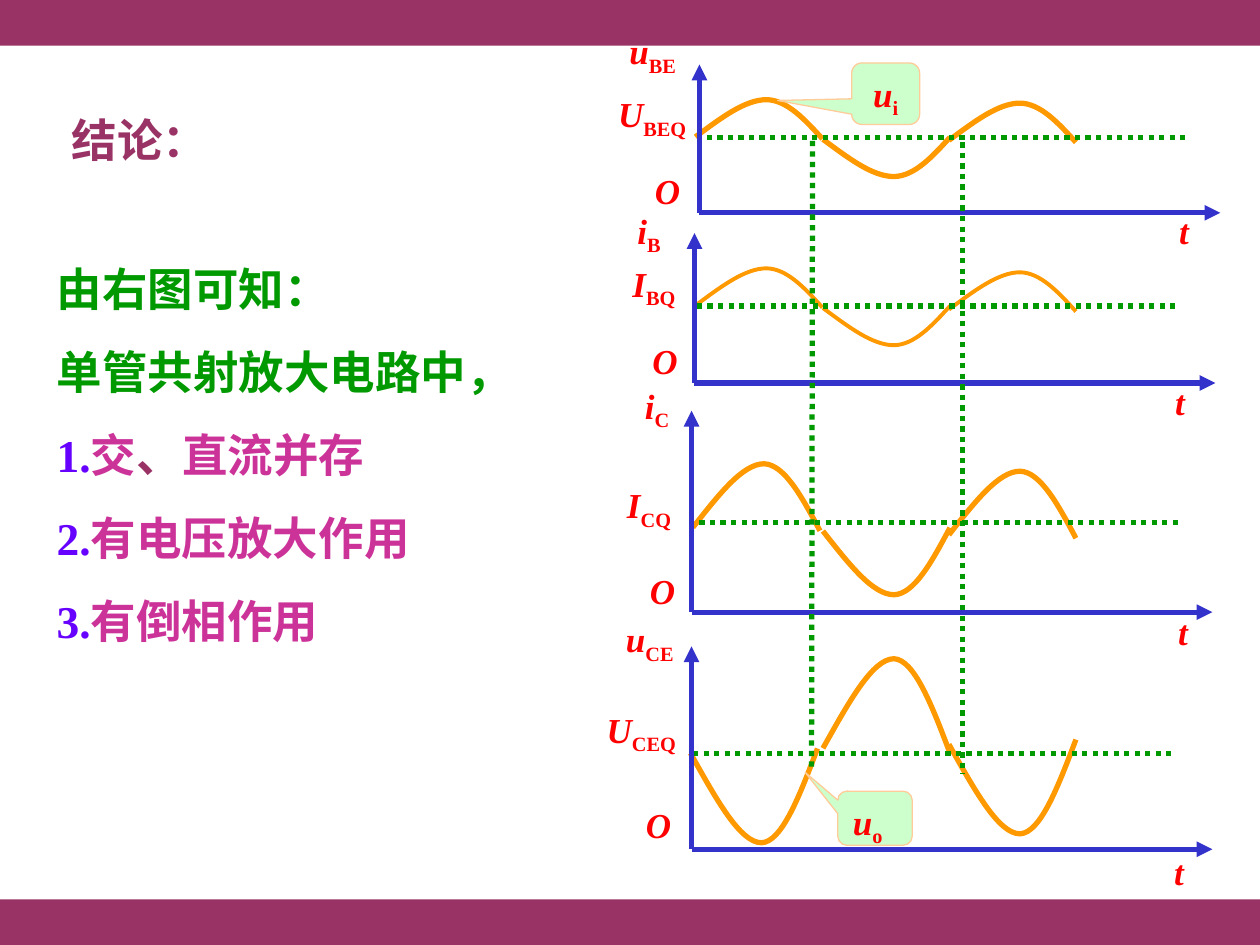
import copy
import dataclasses

import pptx
import pptx.dml.color
import pptx.enum.dml
import pptx.enum.shapes
import pptx.enum.text
import pptx.oxml
import pptx.oxml.ns
import pptx.util

Cm = pptx.util.Cm
Pt = pptx.util.Pt


@dataclasses.dataclass(frozen=True)
class Theme:
    font: str = "Times New Roman"
    band: str = "993366"
    heading: str = "009900"
    number: str = "6600FF"
    item: str = "CC3399"
    label: str = "FF0000"
    wave: str = "FF9900"
    axis: str = "3333CC"
    callout: str = "CCFFCC"
    callout_line: str = "FFCC99"
    text_size: float = 26
    label_size: float = 20
    paragraph_gap: float = 16.2
    line_width: float = 3


# Half wave as fractions of its width and height: start, then two Bezier segments
HALF_WAVE = [(0, 0.95), (0.2, 0.47), (0.39, 0), (0.56, 0), (0.72, 0.01), (0.86, 0.5), (1, 1)]
WAVE_WIDTH = 2.56
AXIS_LENGTH = 10.5
BIAS_LENGTH = 9.69


@dataclasses.dataclass(frozen=True)
class Panel:
    """One time diagram; all lengths in centimetres."""
    origin: tuple
    axis_top: float
    bias: tuple
    wave_left: float
    wave_tops: tuple
    wave_height: float
    inverted: bool
    wave_line: float
    labels: tuple  # (letter, subscript, left, top, width)


PANELS = [
    Panel((14.1, 4.29), 1.3, (14.25, 2.77), 14.02, (2.01, 2.77, 2.08), 0.79, False, 3,
          (("u", "BE", 12.44, 0.48, 1.7), ("U", "BEQ", 12.21, 1.75, 2.1),
           ("O", "", 12.95, 3.3, 1.2), ("t", "", 23.52, 4.09, 1))),
    Panel((14, 7.72), 4.7, (14.05, 6.17), 14.02, (5.41, 6.17, 5.49), 0.79, False, 2.25,
          (("i", "B", 12.6, 4.09, 1.7), ("I", "BQ", 12.5, 5.16, 2.1),
           ("O", "", 12.9, 6.71, 1.2), ("t", "", 23.44, 7.54, 1))),
    Panel((13.94, 12.34), 8.28, (14.1, 10.54), 13.97, (9.35, 10.64, 9.5), 1.35, False, 3,
          (("i", "C", 12.75, 7.62, 1.7), ("I", "CQ", 12.39, 9.63, 2.1),
           ("O", "", 12.85, 11.35, 1.2), ("t", "", 23.5, 12.19, 1))),
    Panel((13.94, 17.12), 13.03, (13.97, 15.19), 13.92, (15.09, 13.28, 14.91), 1.9, True, 3,
          (("u", "CE", 12.37, 12.32, 1.7), ("U", "CEQ", 11.98, 14.15, 2.1),
           ("O", "", 12.77, 16.08, 1.2), ("t", "", 23.42, 17.02, 1))),
]


class SlideWriter:
    def __init__(self, slide, theme):
        self.slide = slide
        self.theme = theme

    def color(self, value):
        return pptx.dml.color.RGBColor.from_string(value)

    def run(self, paragraph, text, color, size, italic=False, subscript=False):
        run = paragraph.add_run()
        run.text = text
        run.font.name = self.theme.font
        run.font.size = Pt(size)
        run.font.bold = True
        run.font.italic = italic
        run.font.color.rgb = self.color(color)
        if subscript:
            run._r.get_or_add_rPr().set("baseline", "-25000")

    def symbol(self, paragraph, letter, subscript):
        self.run(paragraph, letter, self.theme.label, self.theme.label_size, italic=True)
        if subscript:
            self.run(paragraph, subscript, self.theme.label, self.theme.label_size, subscript=True)

    def placeholder(self, shape, box, paragraphs):
        shape.left, shape.top, shape.width, shape.height = map(Cm, box)
        frame = shape.text_frame
        frame.auto_size = pptx.enum.text.MSO_AUTO_SIZE.NONE
        frame.vertical_anchor = pptx.enum.text.MSO_ANCHOR.TOP
        for index, runs in enumerate(paragraphs):
            paragraph = frame.add_paragraph() if index else frame.paragraphs[0]
            properties = paragraph._p.get_or_add_pPr()
            properties.set("marL", "0")
            properties.set("indent", "0")
            properties.append(pptx.oxml.parse_xml(
                "<a:buNone %s/>" % pptx.oxml.ns.nsdecls("a")))
            paragraph.alignment = pptx.enum.text.PP_ALIGN.LEFT
            paragraph.space_before = Pt(self.theme.paragraph_gap if index else 0)
            for text, color in runs:
                self.run(paragraph, text, color, self.theme.text_size)

    def label(self, letter, subscript, left, top, width):
        box = self.slide.shapes.add_textbox(Cm(left), Cm(top), Cm(width), Cm(1.2))
        box.text_frame.word_wrap = True
        self.symbol(box.text_frame.paragraphs[0], letter, subscript)

    def shape(self, kind, box, fill, line=None):
        shape = self.slide.shapes.add_shape(kind, *map(Cm, box))
        shape.shadow.inherit = False
        shape.fill.solid()
        shape.fill.fore_color.rgb = self.color(fill)
        if line:
            shape.line.color.rgb = self.color(line)
            shape.line.width = Pt(0.75)
        else:
            shape.line.fill.background()
        return shape

    def callout(self, box, pointer, letter, subscript, alignment):
        shape = self.shape(pptx.enum.shapes.MSO_SHAPE.ROUNDED_RECTANGULAR_CALLOUT, box,
                           self.theme.callout, self.theme.callout_line)
        shape.adjustments[0], shape.adjustments[1] = pointer
        shape.text_frame.vertical_anchor = pptx.enum.text.MSO_ANCHOR.TOP
        paragraph = shape.text_frame.paragraphs[0]
        paragraph.alignment = alignment
        self.symbol(paragraph, letter, subscript)

    def line(self, start, end, color, dotted=False, arrow=False):
        connector = self.slide.shapes.add_connector(
            pptx.enum.shapes.MSO_CONNECTOR.STRAIGHT, *map(Cm, start + end))
        connector.line.color.rgb = self.color(color)
        connector.line.width = Pt(self.theme.line_width)
        if dotted:
            connector.line.dash_style = pptx.enum.dml.MSO_LINE.ROUND_DOT
        namespace = pptx.oxml.ns.nsdecls("a")
        properties = connector._element.spPr
        if arrow:
            properties.find(pptx.oxml.ns.qn("a:ln")).append(
                pptx.oxml.parse_xml('<a:tailEnd %s type="triangle"/>' % namespace))
        properties.append(pptx.oxml.parse_xml("<a:effectLst %s/>" % namespace))

    def half_wave(self, left, top, height, flipped, width):
        points = [(Cm(left + x * WAVE_WIDTH), Cm(top + (1 - y if flipped else y) * height))
                  for x, y in HALF_WAVE]
        builder = self.slide.shapes.build_freeform(*points[0])
        builder.add_line_segments(points[1:], close=False)
        shape = builder.convert_to_shape()
        shape.shadow.inherit = False
        shape.fill.background()
        shape.line.color.rgb = self.color(self.theme.wave)
        shape.line.width = Pt(width)
        # Each three straight segments become one cubic Bezier segment
        outline = next(shape._element.iter(pptx.oxml.ns.qn("a:path")))
        segments = outline.findall(pptx.oxml.ns.qn("a:lnTo"))
        for first in range(0, len(segments), 3):
            curve = pptx.oxml.parse_xml("<a:cubicBezTo %s/>" % pptx.oxml.ns.nsdecls("a"))
            for segment in segments[first:first + 3]:
                curve.append(copy.deepcopy(segment[0]))
                outline.remove(segment)
            outline.append(curve)

    def panel(self, panel):
        for index, top in enumerate(panel.wave_tops):
            left = (panel.wave_left, 16.59, 19.13)[index]
            flipped = (index == 1) != panel.inverted
            self.half_wave(left, top, panel.wave_height, flipped, panel.wave_line)
        self.line(panel.bias, (panel.bias[0] + BIAS_LENGTH, panel.bias[1]),
                  self.theme.heading, dotted=True)
        x, y = panel.origin
        for end in ((x + AXIS_LENGTH, y), (x, panel.axis_top)):
            self.line(panel.origin, end, self.theme.axis, arrow=True)
        for label in panel.labels:
            self.label(*label)


def main():
    presentation = pptx.Presentation()
    presentation.slide_width, presentation.slide_height = Cm(25.4), Cm(19.05)
    slide = presentation.slides.add_slide(presentation.slide_layouts[1])
    theme = Theme()
    writer = SlideWriter(slide, theme)

    # Bands at the top and bottom
    for top in (0, 18.13):
        writer.shape(pptx.enum.shapes.MSO_SHAPE.RECTANGLE, (0, top, 25.4, 0.92), theme.band)

    # Title and conclusions
    writer.placeholder(slide.shapes.title, (1.19, 2.13, 4.24, 1.37), [[("结论：", theme.band)]])
    writer.placeholder(slide.placeholders[1], (0.89, 5.13, 11.13, 8.05), [
        [("由右图可知：", theme.heading)],
        [("单管共射放大电路中，", theme.heading)],
        [("1.", theme.number), ("交", theme.item), ("、", theme.band), ("直流并存", theme.item)],
        [("2.", theme.number), ("有电压放大作用", theme.item)],
        [("3.", theme.number), ("有倒相作用", theme.item)],
    ])

    # Time diagrams with the guides through their zero crossings
    for panel in PANELS:
        writer.panel(panel)
    writer.line((16.38, 2.84), (16.36, 15.49), theme.heading, dotted=True)
    writer.line((19.41, 2.87), (19.41, 15.6), theme.heading, dotted=True)

    # Input and output signal callouts
    align = pptx.enum.text.PP_ALIGN
    writer.callout((16.89, 15.95, 1.5, 1.09), (-0.94, -0.85), "u", "o", align.LEFT)
    writer.callout((17.17, 1.27, 1.37, 1.24), (-1.59, 0.11), "u", "i", align.CENTER)

    presentation.save("out.pptx")


if __name__ == "__main__":
    main()
